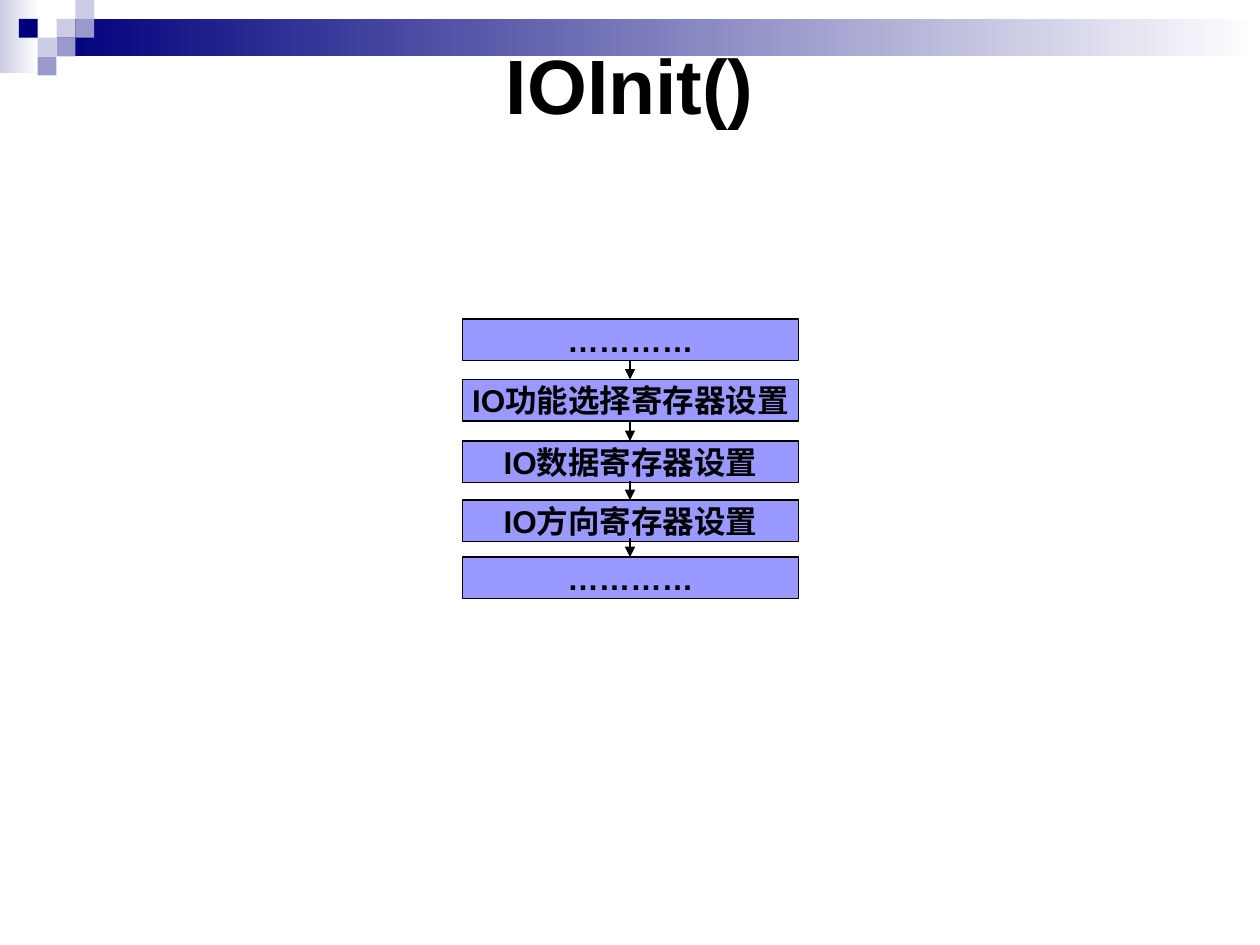
from pptx import Presentation
from pptx.dml.color import RGBColor
from pptx.enum.shapes import MSO_CONNECTOR, MSO_SHAPE
from pptx.enum.text import MSO_ANCHOR, PP_ALIGN
from pptx.oxml.ns import qn
from pptx.util import Cm, Pt
from lxml.etree import SubElement

BLACK = RGBColor(0x00, 0x00, 0x00)
WHITE = RGBColor(0xFF, 0xFF, 0xFF)
NAVY = RGBColor(0x00, 0x00, 0x7D)
PALE = RGBColor(0xCC, 0xCC, 0xE6)
LILAC = RGBColor(0x99, 0x99, 0xCC)
VIOLET = RGBColor(0x99, 0x99, 0xFF)

UNIT = 0.38
STEP_LEFT, STEP_WIDTH, STEP_HEIGHT = 9.32, 6.78, 0.84
SQUARES = [(3, 1, PALE), (4, 0, PALE), (4, 1, LILAC), (2, 2, PALE),
           (1, 1, NAVY), (3, 2, LILAC), (2, 3, LILAC)]
STEPS = [(6.43, "…………"), (7.65, "IO功能选择寄存器设置"),
         (8.89, "IO数据寄存器设置"), (10.08, "IO方向寄存器设置"),
         (11.23, "…………")]


class SlideBuilder:
    """Draws styled elements on the current slide."""

    font = {"name": "Arial", "bold": True}
    frame = {"vertical_anchor": MSO_ANCHOR.MIDDLE,
             "margin_left": Cm(0.25), "margin_right": Cm(0.25),
             "margin_top": Cm(0.13), "margin_bottom": Cm(0.13)}
    line_width = Pt(0.75)

    def __init__(self, slide):
        self.s = slide

    def rect(self, left, top, width, height, color):
        sp = self.s.shapes.add_shape(MSO_SHAPE.RECTANGLE, Cm(left), Cm(top),
                                     Cm(width), Cm(height))
        sp.shadow.inherit = False
        sp.fill.solid()
        sp.fill.fore_color.rgb = color
        sp.line.fill.background()
        return sp

    def fade(self, left, top, width, height, color):
        fill = self.rect(left, top, width, height, color).fill
        fill.gradient()
        fill.gradient_angle = 0
        for stop, rgb in zip(fill.gradient_stops, (color, WHITE)):
            stop.color.rgb = rgb

    def label(self, sp, text, size, wrap):
        tf = sp.text_frame
        for name, value in {**self.frame, "word_wrap": wrap}.items():
            setattr(tf, name, value)
        p = tf.paragraphs[0]
        p.alignment = PP_ALIGN.CENTER
        r = p.add_run()
        r.text = text
        for name, value in {**self.font, "size": Pt(size)}.items():
            setattr(r.font, name, value)
        r.font.color.rgb = BLACK

    def title(self, text, left, top, width, height):
        sp = self.s.shapes.add_textbox(Cm(left), Cm(top), Cm(width), Cm(height))
        self.label(sp, text, 44, True)

    def step(self, text, top):
        sp = self.rect(STEP_LEFT, top, STEP_WIDTH, STEP_HEIGHT, VIOLET)
        sp.line.color.rgb = BLACK
        sp.line.width = self.line_width
        self.label(sp, text, 18, False)

    def arrow(self, x, top, bottom):
        c = self.s.shapes.add_connector(MSO_CONNECTOR.STRAIGHT, Cm(x), Cm(top),
                                        Cm(x), Cm(bottom))
        c.line.color.rgb = BLACK
        c.line.width = self.line_width
        props = c.element.spPr
        SubElement(props.find(qn("a:ln")), qn("a:tailEnd"), type="triangle")
        SubElement(props, qn("a:effectLst"))


def main():
    prs = Presentation()
    prs.slide_width, prs.slide_height = Cm(25.4), Cm(19.05)
    b = SlideBuilder(prs.slides.add_slide(prs.slide_layouts[6]))

    b.fade(0, 0, 0.79, 1.47, PALE)
    b.fade(1.14, UNIT, 24.26, 2 * UNIT, NAVY)
    for col, row, color in SQUARES:
        b.rect(col * UNIT, row * UNIT, UNIT, UNIT, color)

    b.title("IOInit()", 1.27, 1.27, 22.86, 0.84)
    for top, text in STEPS:
        b.step(text, top)
    for top, _ in STEPS[1:]:
        b.arrow(12.7, top - UNIT, top)

    prs.save("out.pptx")


if __name__ == "__main__":
    main()
